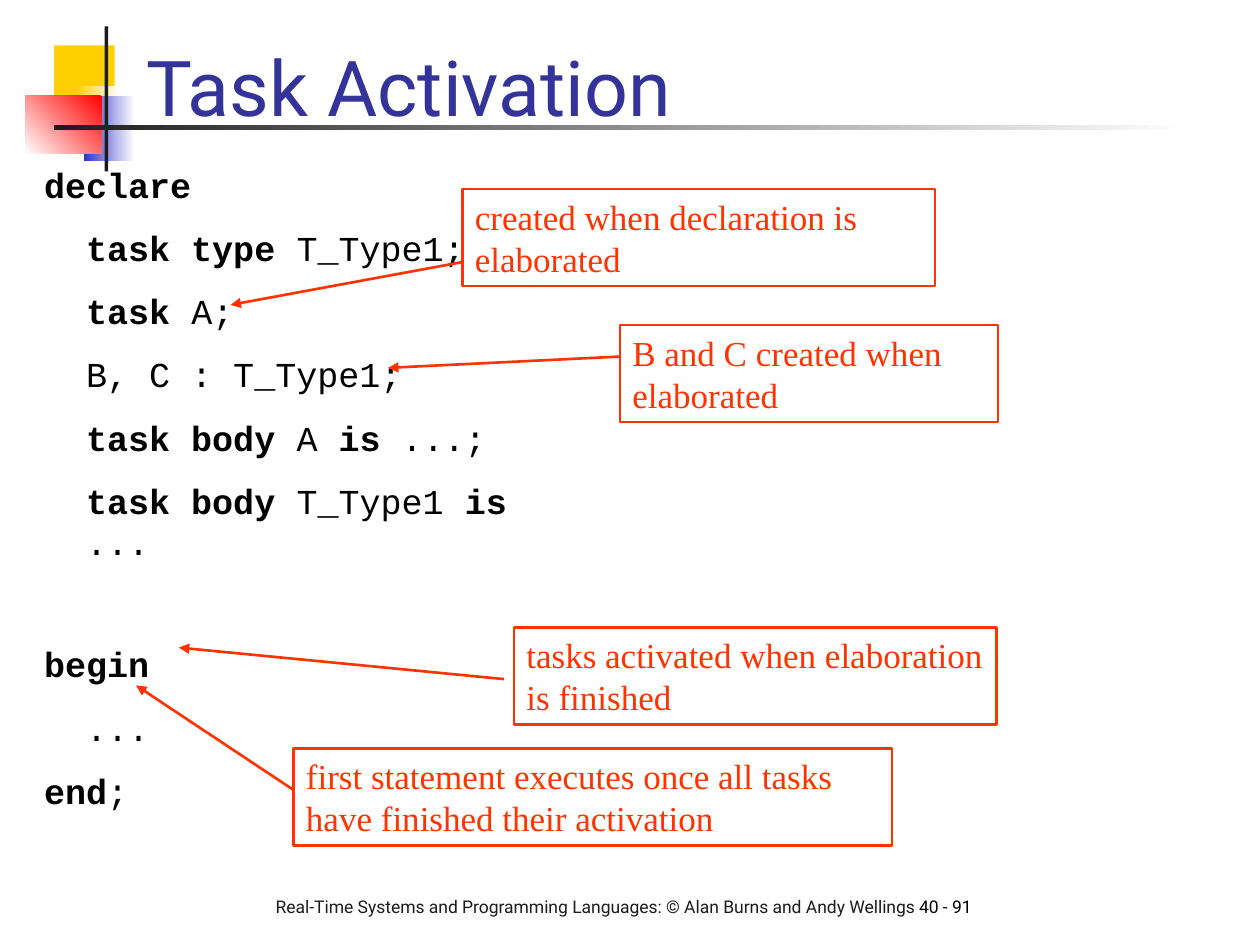
from pptx import Presentation
from pptx.dml.color import RGBColor
from pptx.enum.shapes import MSO_CONNECTOR as Connector, MSO_SHAPE as Shape
from pptx.enum.text import MSO_ANCHOR as Anchor, MSO_AUTO_SIZE as AutoSize, PP_ALIGN as Align
from pptx.oxml.ns import qn
from pptx.util import Inches, Pt
from lxml.etree import SubElement

WIDTH, HEIGHT = 10, 7.5
COLORS = {"yellow": "FFCF01", "blue": "3333CC", "red": "FF0000", "white": "FFFFFF",
          "dark": "1C1C1C", "title": "333399", "code": "000000", "note": "FF3300"}
SANS, MONO, SERIF = "Roboto", "Courier New", "Times New Roman"
CODE_INDENT = 24  # two monospaced characters at 20 pt

# (indent level, runs as (text, bold), paragraph format)
CODE = [
    (0, [("declare", True)], {}),
    (1, [("task type", True), (" T_Type1;", False)], {}),
    (1, [("task", True), (" A;", False)], {}),
    (1, [("B, C : T_Type1;", False)], {}),
    (1, [("task body", True), (" A ", False), ("is", True), (" ...;", False)], {}),
    (1, [("task body", True), (" T_Type1 ", False), ("is", True)], {}),
    (1, [("...", False)], {"spacing": 0.4}),
    (0, [("begin", True)], {"before": 45}),
    (1, [("...", False)], {}),
    (0, [("end", True), (";", False)], {}),
]

# (text, box, arrow start, arrow end); arrow points are relative to the box corner
NOTES = [
    ("created when declaration is elaborated", (3.67, 1.5, 3.75, 0.77), (0, 0.58), (-1.84, 0.92)),
    ("B and C created when elaborated", (4.92, 2.58, 3, 0.77), (0, 0.25), (-1.84, 0.34)),
    ("tasks activated when elaboration is finished", (4.08, 4.98, 3.83, 0.77),
     (-0.08, 0.41), (-2.66, 0.16)),
    ("first statement executes once all tasks have finished their activation",
     (2.33, 5.94, 4.75, 0.77), (0, 0.33), (-1.25, -0.5)),
]


def rgb(name):
    """Look up a palette colour."""
    return RGBColor.from_string(COLORS[name])


def place(item, box):
    """Move a placeholder to a box in inches."""
    item.left, item.top, item.width, item.height = map(Inches, box)


def write(paragraph, text, font=SANS, size=20, color="code", bold=False):
    """Add a formatted run to a paragraph."""
    run = paragraph.add_run()
    run.text = text
    run.font.name, run.font.size, run.font.bold = font, Pt(size), bold
    run.font.color.rgb = rgb(color)


def set_frame(frame, anchor=Anchor.TOP):
    """Make a text frame wrap at a fixed size."""
    frame.word_wrap, frame.auto_size, frame.vertical_anchor = True, AutoSize.NONE, anchor


def add_block(slide, box, color, end=None, angle=180):
    """Add a borderless rectangle, solid or fading from color to end."""
    block = slide.shapes.add_shape(Shape.RECTANGLE, *map(Inches, box))
    block.shadow.inherit = False
    block.line.fill.background()
    if end is None:
        block.fill.solid()
        block.fill.fore_color.rgb = rgb(color)
        return
    block.fill.gradient()
    block.fill.gradient_angle = angle
    for stop, name in zip(block.fill.gradient_stops, (color, end)):
        stop.color.rgb = rgb(name)


def add_emblem(slide, left, top):
    """Draw the coloured blocks and the crossing bars from a corner."""
    blocks = [
        ((0.23, 0.15, 0.48, 0.52), "yellow"),
        ((0.39, 0.47, 0.36, 0.52), "white", "yellow"),
        ((0.47, 0.55, 0.4, 0.52), "white", "blue"),
        ((0, 0.55, 0.61, 0.46), "red", "white", 225),
        ((0.63, 0, 0.03, 1.15), "dark"),
        ((0.23, 0.78, 9, 0.04), "white", "dark"),
    ]
    for (dx, dy, width, height), *fill in blocks:
        add_block(slide, (left + dx, top + dy, width, height), *fill)


def add_title(slide, box):
    """Fill the title placeholder."""
    title = slide.shapes.title
    place(title, box)
    set_frame(title.text_frame, Anchor.BOTTOM)
    heading = title.text_frame.paragraphs[0]
    heading.alignment = Align.LEFT
    write(heading, "Task Activation", size=44, color="title")


def add_code(slide, box):
    """Fill the body placeholder with the program listing."""
    body = slide.placeholders[1]
    place(body, box)
    frame = body.text_frame
    set_frame(frame)
    for number, (level, runs, layout) in enumerate(CODE):
        line = frame.add_paragraph() if number else frame.paragraphs[0]
        line.space_before, line.space_after = Pt(layout.get("before", 9)), Pt(3)
        line.line_spacing = layout.get("spacing", 1.0)
        props = line._p.get_or_add_pPr()
        props.set("marL", str(Pt(CODE_INDENT * level)))
        props.set("indent", "0")
        SubElement(props, qn("a:buNone"))
        for text, bold in runs:
            write(line, text, font=MONO, bold=bold)


def add_note(slide, text, box, start, end):
    """Draw an outlined note and the arrow from it to the code."""
    note = slide.shapes.add_shape(Shape.RECTANGLE, *map(Inches, box))
    note.shadow.inherit = False
    note.fill.background()
    set_frame(note.text_frame)
    remark = note.text_frame.paragraphs[0]
    remark.alignment = Align.LEFT
    write(remark, text, font=SERIF, color="note")

    left, top = box[:2]
    points = [Inches(v) for dx, dy in (start, end) for v in (left + dx, top + dy)]
    arrow = slide.shapes.add_connector(Connector.STRAIGHT, *points)
    for outlined in (note, arrow):
        outlined.line.color.rgb = rgb("note")
        outlined.line.width = Pt(1.5)
    SubElement(arrow.line._get_or_add_ln(), qn("a:tailEnd"), type="triangle")
    SubElement(arrow._element.spPr, qn("a:effectLst"))


def add_footer(slide, box):
    """Add the course line and the page number."""
    footer = slide.shapes.add_textbox(*map(Inches, box))
    set_frame(footer.text_frame)
    line = footer.text_frame.paragraphs[0]
    write(line, "Real-Time Systems and Programming Languages: © Alan Burns and Andy Wellings ",
          size=10, color="dark")
    write(line, "40 - 91", size=10)


def main():
    """Build and save the slide."""
    deck = Presentation()
    deck.slide_width, deck.slide_height = Inches(WIDTH), Inches(HEIGHT)
    slide = deck.slides.add_slide(deck.slide_layouts[1])
    add_emblem(slide, 0.2, 0.21)
    add_footer(slide, (2.09, 7.06, 6.06, 0.4))
    add_title(slide, (1.06, 0.13, 8.52, 0.97))
    add_code(slide, (0.25, 1.25, 4, 5.79))
    for note in NOTES:
        add_note(slide, *note)
    deck.save("out.pptx")


main()
